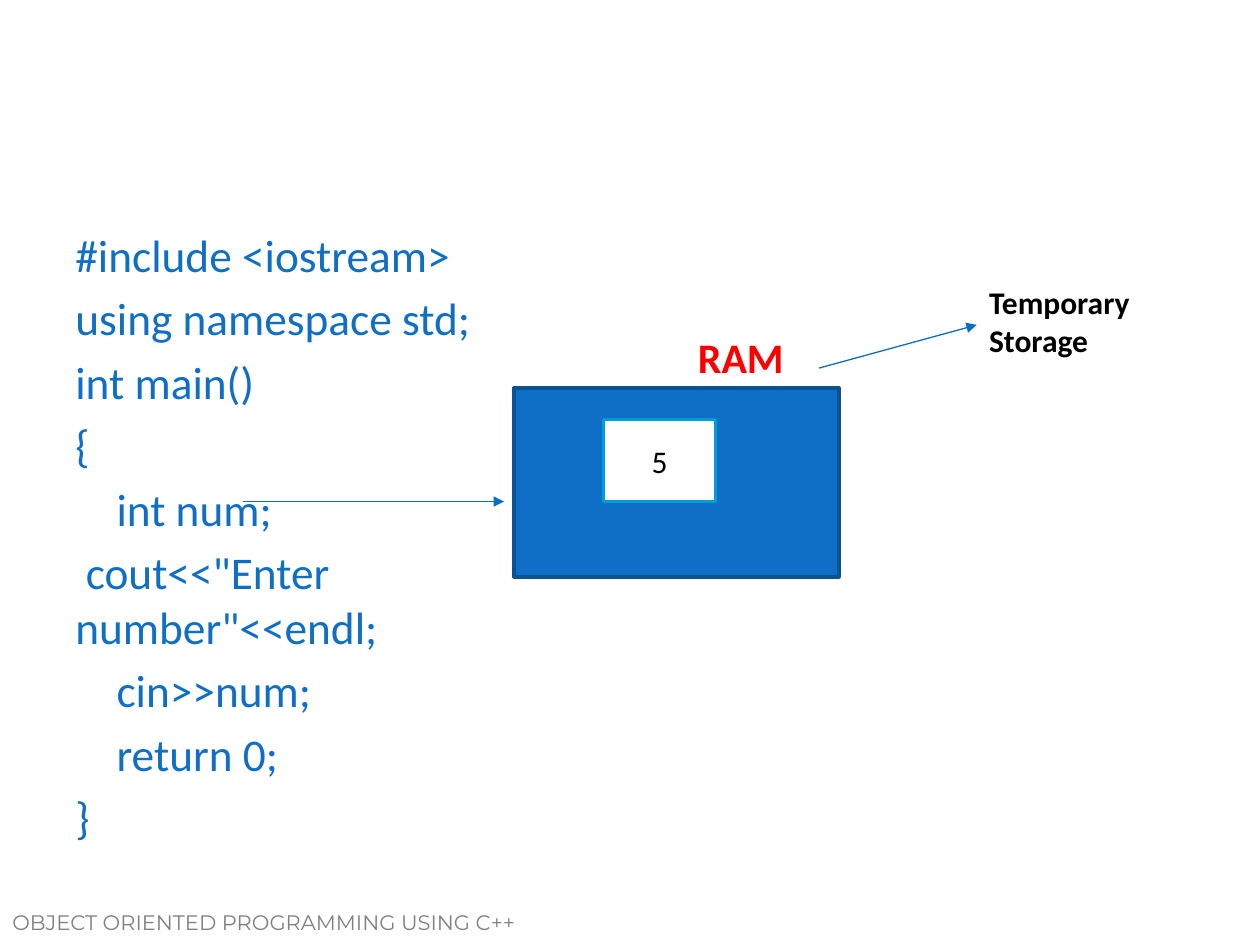
from dataclasses import dataclass

from lxml.etree import SubElement as SubEl
from pptx import Presentation
from pptx.dml.color import RGBColor as RGB
from pptx.enum.shapes import MSO_CONNECTOR as Link, MSO_SHAPE as Shape
from pptx.enum.text import MSO_ANCHOR as Anchor, PP_ALIGN as Align
from pptx.oxml.ns import qn
from pptx.util import Cm, Pt


@dataclass(frozen=True)
class Theme:
    blue: str = "0F6FC6"
    edge: str = "0B5292"
    cyan: str = "009DD9"
    arrow: str = "0A6DC6"
    red: str = "FF0000"
    black: str = "000000"
    white: str = "FFFFFF"
    gray: str = "808080"
    body: str = "Calibri"
    foot: str = "Montserrat"
    code: float = 25.9
    head: float = 24
    note: float = 18
    small: float = 12


T = Theme()

# Code lines with their first-line indent in cm
CODE = [
    ("#include <iostream>", 0),
    ("using namespace std;", 0),
    ("int main()", 0),
    ("{", 0),
    ("int num;", 0.83),
    ('cout<<"Enter number"<<endl;', 0.21),
    ("cin>>num;", 0.83),
    ("return 0;", 0.83),
    ("}", 0),
]


def style(para, size, color, bold=False, face=T.body):
    font = para.font
    font.name, font.size, font.bold = face, Pt(size), bold
    font.color.rgb = RGB.from_string(color)


def add_text(slide, box, lines, size, color, bold=False, face=T.body,
             wrap=True, gap=0):
    frame = slide.shapes.add_textbox(*map(Cm, box)).text_frame
    frame.word_wrap = wrap
    for i, (text, indent) in enumerate(lines):
        para = frame.add_paragraph() if i else frame.paragraphs[0]
        para.text = text
        para.space_before = Pt(gap)
        style(para, size, color, bold, face)
        if indent:
            para._p.get_or_add_pPr().set("indent", str(Cm(indent)))


def add_rect(slide, box, fill, edge, text=""):
    rect = slide.shapes.add_shape(Shape.RECTANGLE, *map(Cm, box))
    rect.shadow.inherit = False
    rect.fill.solid()
    rect.fill.fore_color.rgb = RGB.from_string(fill)
    rect.line.color.rgb = RGB.from_string(edge)
    rect.line.width = Pt(2)
    if text:
        frame = rect.text_frame
        frame.vertical_anchor = Anchor.MIDDLE
        para = frame.paragraphs[0]
        para.text, para.alignment = text, Align.CENTER
        style(para, T.note, T.black)


def add_arrow(slide, start, end):
    line = slide.shapes.add_connector(Link.STRAIGHT, *map(Cm, start + end))
    line.line.color.rgb = RGB.from_string(T.arrow)
    line.line.width = Pt(0.75)
    SubEl(line.line._get_or_add_ln(), qn("a:tailEnd"), type="triangle")
    SubEl(line._element.spPr, qn("a:effectLst"))


def main():
    deck = Presentation()
    deck.slide_width, deck.slide_height = Cm(25.4), Cm(19.05)
    slide = deck.slides.add_slide(deck.slide_layouts[6])

    # Footer
    add_text(slide, (0, 18.21, 12.7, 1.07),
             [("OBJECT ORIENTED PROGRAMMING USING C++", 0)],
             T.small, T.gray, face=T.foot)

    # Program listing
    add_text(slide, (1.27, 4.45, 11.23, 12.57), CODE, T.code, T.blue,
             gap=5.2)

    # Memory block and its label
    add_rect(slide, (10.36, 7.82, 6.55, 3.81), T.blue, T.edge)
    add_text(slide, (13.82, 6.55, 2.26, 1.27), [("RAM", 0)],
             T.head, T.red, bold=True, wrap=False)

    # Arrows from the variable and to the note
    add_arrow(slide, (4.9, 10.11), (10.16, 10.11))
    add_arrow(slide, (16.51, 7.42), (19.69, 6.55))
    add_text(slide, (19.69, 5.59, 4.88, 1.8), [("Temporary Storage", 0)],
             T.note, T.black, bold=True)

    # Stored value
    add_rect(slide, (12.17, 8.46, 2.26, 1.65), T.white, T.cyan, "5")

    deck.save("out.pptx")


if __name__ == "__main__":
    main()
